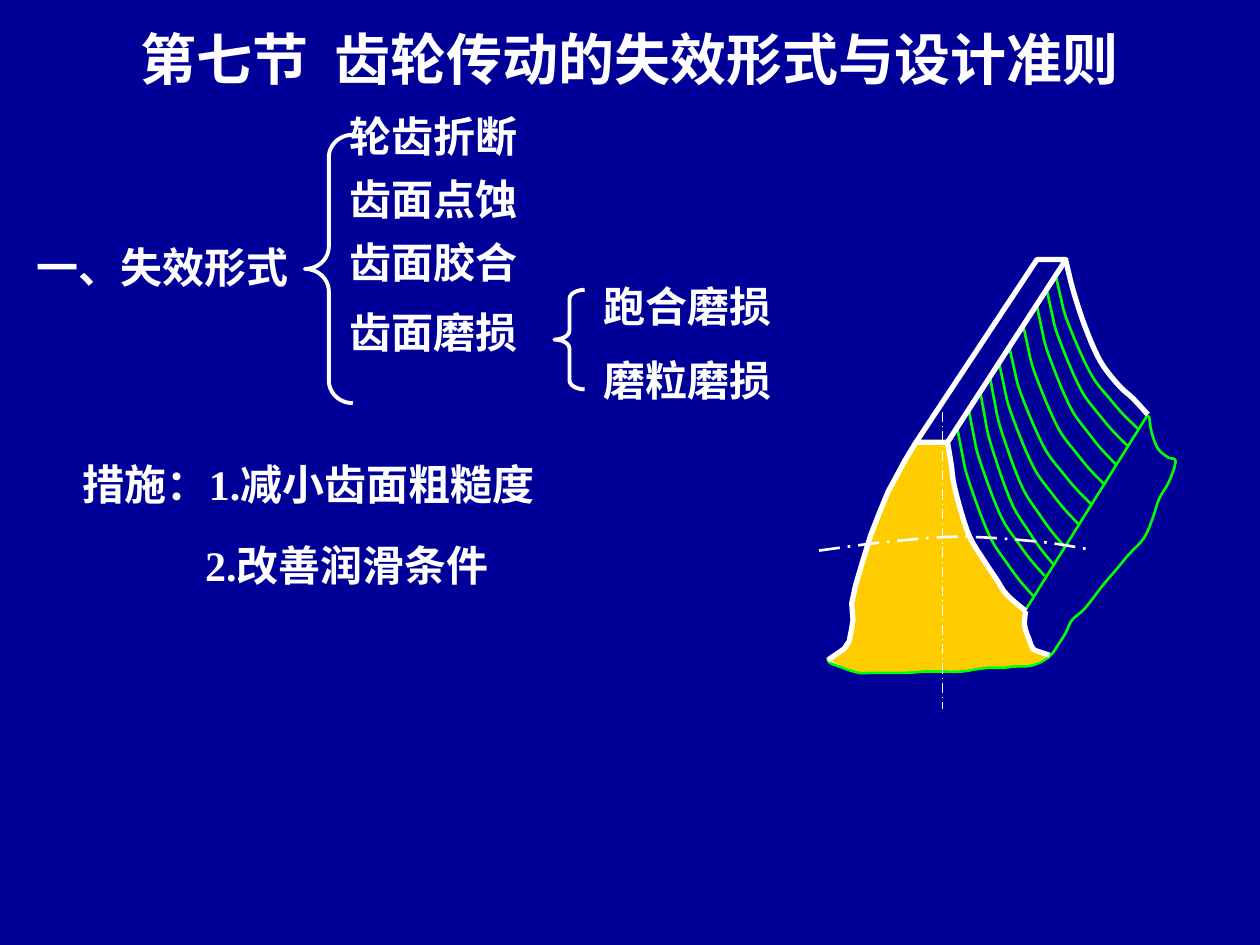
"""Build the slide on gear failure forms, with a drawing of a worn tooth."""
from dataclasses import dataclass

from lxml import etree
from pptx import Presentation
from pptx.dml.color import RGBColor
from pptx.enum import dml, shapes, text
from pptx import util as u
from pptx.oxml.ns import qn

COLORS = {"navy": "000099", "white": "FFFFFF", "green": "00FF00", "gold": "FFCC00"}
LATIN, CJK = "Times New Roman", "Noto Sans CJK SC"

Points = list[tuple[float, float]]


@dataclass
class Label:
    words: list[str]
    left: float
    top: float
    width: float
    height: float = 0.5
    padded: bool = True


@dataclass
class Brace:
    left: float
    top: float
    width: float
    height: float
    curl: float


@dataclass
class Stroke:
    points: Points
    color: str
    weight: float
    fill: str | None = None
    closed: bool = False
    dashed: bool = False
    curved: bool = False


FORMS = ["轮齿折断", "齿面点蚀", "齿面胶合", "齿面磨损"]
LABELS = [
    Label(["一、失效形式"], 0.29, 1.92, 2, 0.4, False),
    Label(["跑合磨损"], 4.69, 2.18, 1.53),
    Label(["磨粒磨损"], 4.69, 2.76, 1.53),
    Label(["措施：", "1.", "减小齿面粗糙度"], 0.56, 3.59, 4.91),
    Label(["2.", "改善润滑条件"], 1.53, 4.23, 3.31),
]
BRACES = [Brace(2.42, 1.07, 0.38, 2.13, 0.47), Brace(4.4, 2.3, 0.24, 0.79, 0.3)]

LEFT_FLANK = [(7.27, 3.51), (7.18, 3.66), (7.11, 3.79), (7.05, 3.9), (6.98, 4.07),
              (6.91, 4.25), (6.84, 4.48), (6.79, 4.65), (6.76, 4.79), (6.77, 4.92),
              (6.76, 4.99), (6.74, 5.09), (6.7, 5.15), (6.57, 5.24)]
RIGHT_FLANK = [(7.52, 3.51), (7.55, 3.69), (7.57, 3.84), (7.63, 4.07), (7.7, 4.27),
               (7.81, 4.45), (7.91, 4.6), (7.99, 4.72), (8.14, 4.85)]
BACK_FLANK = [(8.46, 2.07), (8.5, 2.24), (8.54, 2.38), (8.6, 2.56), (8.68, 2.76),
              (8.76, 2.91), (8.89, 3.07), (8.99, 3.16), (9.11, 3.29)]
FILLET = [(8.14, 4.85), (8.13, 4.95), (8.14, 5), (8.17, 5.08), (8.2, 5.15),
          (8.27, 5.18), (8.33, 5.2)]
ROOT = [(6.57, 5.24), (6.69, 5.3), (6.82, 5.34), (6.94, 5.34), (7.19, 5.34),
        (7.34, 5.33), (7.48, 5.33), (7.63, 5.33), (7.76, 5.31), (7.85, 5.3),
        (7.96, 5.3), (8.06, 5.29), (8.2, 5.28), (8.33, 5.21)]
RIM = [(8.41, 5.1), (8.46, 5.02), (8.51, 4.92), (8.61, 4.83), (8.75, 4.65),
       (8.86, 4.52), (8.96, 4.4), (9.08, 4.27), (9.15, 4.11), (9.2, 3.96),
       (9.28, 3.82), (9.33, 3.66), (9.27, 3.63), (9.19, 3.56), (9.14, 3.43),
       (9.12, 3.3)]
TIP = [(8.23, 2.06), (8.46, 2.06), (7.52, 3.51), (7.27, 3.51)]
PITCH_ARC = [(6.5, 4.37), (7.05, 4.3), (7.62, 4.26), (8.25, 4.3), (8.64, 4.36)]
WEAR_PROFILE = [(0, 0), (0.06, 0.14), (0.11, 0.25), (0.21, 0.39), (0.34, 0.55),
                (0.47, 0.68), (0.65, 0.8), (0.81, 0.9), (1, 1)]
WEAR_ENDS = [
    ((8.38, 2.19), (9.04, 3.41)), ((8.31, 2.31), (8.95, 3.54)),
    ((8.23, 2.43), (8.86, 3.69)), ((8.12, 2.58), (8.77, 3.85)),
    ((8.01, 2.75), (8.67, 4.01)), ((7.93, 2.88), (8.57, 4.17)),
    ((7.86, 3.01), (8.45, 4.34)), ((7.78, 3.11), (8.36, 4.48)),
    ((7.69, 3.26), (8.29, 4.57)), ((7.6, 3.41), (8.2, 4.73)),
]


def rgb(name: str) -> RGBColor:
    return RGBColor.from_string(COLORS[name])


def wear_line(start: tuple[float, float], end: tuple[float, float]) -> Points:
    return [(start[0] + x * (end[0] - start[0]),
             start[1] + y * (end[1] - start[1])) for x, y in WEAR_PROFILE]


def format_span(span, size: float) -> None:
    span.font.size, span.font.bold = u.Pt(size), True
    span.font.color.rgb = rgb("white")
    span.font.name = LATIN if span.text[0].isdigit() else CJK
    etree.SubElement(span.font._element, qn("a:ea"), typeface=CJK)


def prepare_frame(box, left: float, top: float, width: float, height: float,
                  anchor, side: float = 0, edge: float = 0) -> None:
    box.left, box.top = u.Inches(left), u.Inches(top)
    box.width, box.height = u.Inches(width), u.Inches(height)
    frame = box.text_frame
    frame.margin_left = frame.margin_right = u.Inches(side)
    frame.margin_top = frame.margin_bottom = u.Inches(edge)
    frame.auto_size, frame.word_wrap = text.MSO_AUTO_SIZE.NONE, True
    frame.vertical_anchor = anchor


def fill_title(box) -> None:
    prepare_frame(box, 0.97, 0.2, 8.06, 0.53, text.MSO_ANCHOR.MIDDLE)
    para = box.text_frame.paragraphs[0]
    para.alignment = text.PP_ALIGN.CENTER
    for words in ("第七节", " ", "齿轮传动的失效形式与设计准则"):
        span = para.add_run()
        span.text = words
        format_span(span, 32)
    para.runs[1].font._element.set("spc", "700")


def fill_forms(box) -> None:
    prepare_frame(box, 2.77, 0.78, 1.4, 2.1, text.MSO_ANCHOR.TOP)
    box.text_frame.text = "\n".join(FORMS)
    for para in box.text_frame.paragraphs:
        para.line_spacing, para.space_before = u.Pt(36), u.Pt(0)
        properties = para._p.get_or_add_pPr()
        properties.set("marL", "0")
        properties.set("indent", "0")
        etree.SubElement(properties, qn("a:buNone"))
        format_span(para.runs[0], 24)
    para.space_before = u.Pt(4)


def draw_label(page, label: Label) -> None:
    box = page.shapes.add_textbox(0, 0, 0, 0)
    side, edge = (0.1, 0.05) if label.padded else (0, 0)
    prepare_frame(box, label.left, label.top, label.width, label.height,
                  text.MSO_ANCHOR.MIDDLE, side, edge)
    para = box.text_frame.paragraphs[0]
    if len(label.words) == 1:
        box.text_frame.word_wrap = False
        para.alignment = text.PP_ALIGN.CENTER
    for words in label.words:
        span = para.add_run()
        span.text = words
        format_span(span, 24)


def style_line(line, color: str, weight: float, dashed: bool = False) -> None:
    line.color.rgb, line.width = rgb(color), u.Pt(weight)
    if dashed:
        line.dash_style = dml.MSO_LINE.LONG_DASH_DOT


def draw_brace(page, brace: Brace) -> None:
    shape = page.shapes.add_shape(
        shapes.MSO_SHAPE.LEFT_BRACE, u.Inches(brace.left), u.Inches(brace.top),
        u.Inches(brace.width), u.Inches(brace.height))
    shape.adjustments[0] = brace.curl
    shape.shadow.inherit = False
    shape.fill.background()
    style_line(shape.line, "white", 2.25)


def bend(shape) -> None:
    """Turn the straight segments of a freeform into Bezier curves through its knots."""
    knots = [(int(pt.get("x")), int(pt.get("y"))) for pt in shape._element.iter(qn("a:pt"))]
    padded = [knots[0], *knots, knots[-1]]
    segments = list(shape._element.iter(qn("a:lnTo")))
    for segment, a, b, c, d in zip(segments, padded, padded[1:], padded[2:], padded[3:]):
        curve = etree.Element(qn("a:cubicBezTo"))
        leave = [q + (r - p) / 6 for p, q, r in zip(a, b, c)]
        arrive = [r - (s - q) / 6 for q, r, s in zip(b, c, d)]
        for x, y in (leave, arrive, c):
            etree.SubElement(curve, qn("a:pt"), x=str(round(x)), y=str(round(y)))
        segment.getparent().replace(segment, curve)


def draw_stroke(group, stroke: Stroke) -> None:
    if len(stroke.points) == 2:
        ends = [u.Inches(value) for point in stroke.points for value in point]
        shape = group.shapes.add_connector(shapes.MSO_CONNECTOR.STRAIGHT, *ends)
        style_line(shape.line, stroke.color, stroke.weight, stroke.dashed)
        etree.SubElement(shape._element.spPr, qn("a:effectLst"))
        return
    first, *rest = [(u.Inches(x), u.Inches(y)) for x, y in stroke.points]
    builder = group.shapes.build_freeform(*first)
    builder.add_line_segments(rest, close=stroke.closed)
    shape = builder.convert_to_shape()
    if stroke.curved:
        bend(shape)
    shape.shadow.inherit = False
    if stroke.fill:
        shape.fill.solid()
        shape.fill.fore_color.rgb = rgb(stroke.fill)
    else:
        shape.fill.background()
    style_line(shape.line, stroke.color, stroke.weight, stroke.dashed)


def tooth_strokes() -> list[Stroke]:
    face = LEFT_FLANK[::-1] + RIGHT_FLANK + FILLET[1:] + ROOT[:0:-1]
    edges = [RIGHT_FLANK, BACK_FLANK, FILLET]
    return [
        Stroke(face, "white", 1, "gold", closed=True),
        Stroke([(9.11, 3.29), (8.14, 4.84)], "green", 1.5),
        *(Stroke(wear_line(*ends), "green", 1.5, curved=True) for ends in WEAR_ENDS),
        Stroke(LEFT_FLANK + ROOT[1:] + RIM, "green", 1.5, curved=True),
        Stroke(TIP, "white", 3, closed=True),
        *(Stroke(edge, "white", 3, curved=True) for edge in edges),
        Stroke(LEFT_FLANK, "white", 3),
        Stroke([(7.48, 3.27), (7.48, 5.63)], "white", 0.75, dashed=True),
        Stroke(PITCH_ARC, "white", 1.5, dashed=True, curved=True),
    ]


def main() -> None:
    deck = Presentation()
    deck.slide_width, deck.slide_height = u.Inches(10), u.Inches(7.5)
    page = deck.slides.add_slide(deck.slide_layouts[1])
    page.background.fill.solid()
    page.background.fill.fore_color.rgb = rgb("navy")
    fill_title(page.shapes.title)
    fill_forms(page.placeholders[1])
    for label in LABELS:
        draw_label(page, label)
    for brace in BRACES:
        draw_brace(page, brace)
    tooth = page.shapes.add_group_shape()
    for stroke in tooth_strokes():
        draw_stroke(tooth, stroke)
    deck.save("out.pptx")


if __name__ == "__main__":
    main()
